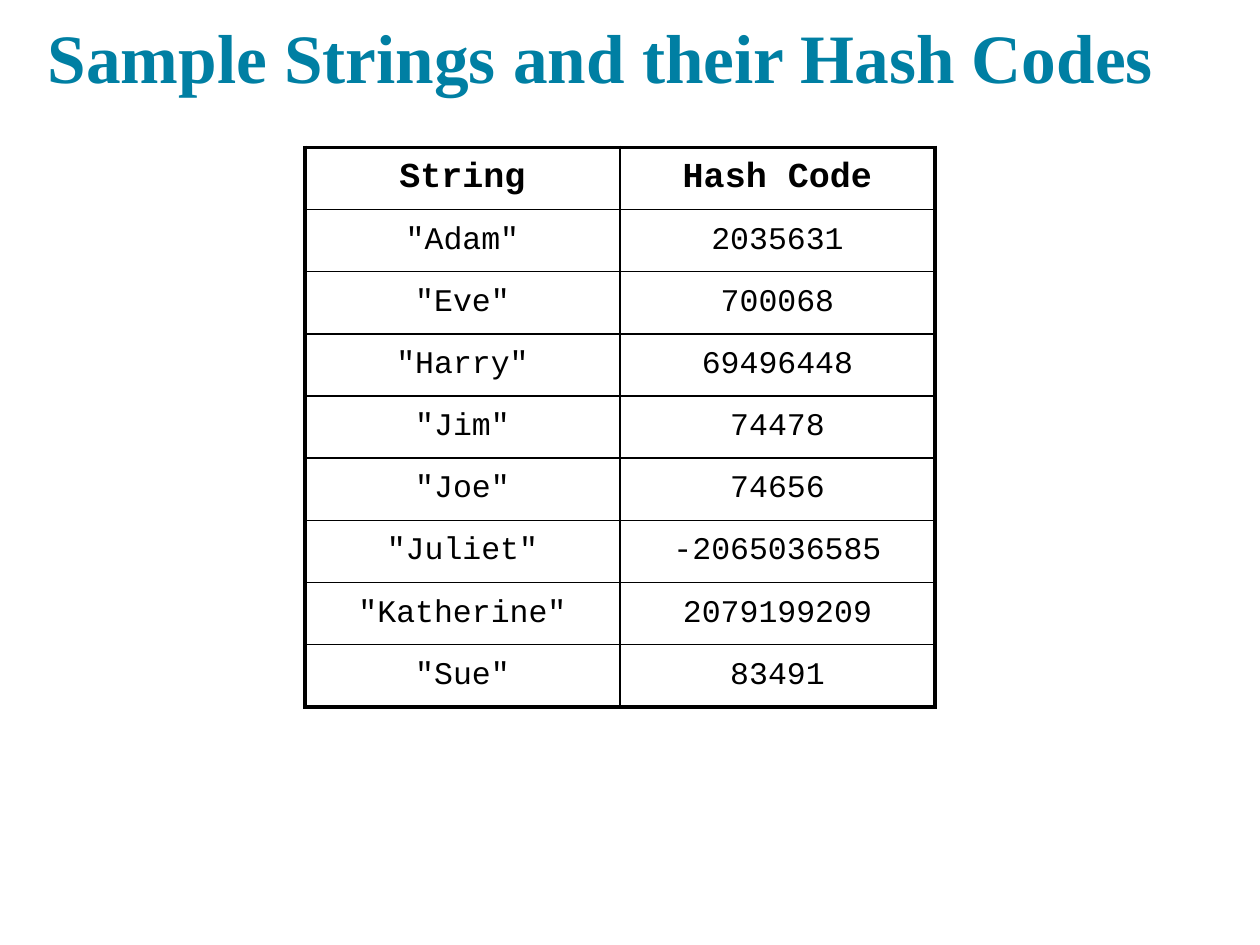
from lxml.etree import SubElement
from pptx import Presentation
from pptx.dml.color import RGBColor
from pptx.enum.text import MSO_ANCHOR as Anchor, PP_ALIGN as Align
from pptx.oxml.ns import qn
from pptx.util import Inches, Pt

BLACK = "000000"
TEAL = "007FA3"
THIN, THICK = 1, 2.25
HEADINGS = ("String", "Hash Code")
HASH_CODES = {
    '"Adam"': "2035631",
    '"Eve"': "700068",
    '"Harry"': "69496448",
    '"Jim"': "74478",
    '"Joe"': "74656",
    '"Juliet"': "-2065036585",
    '"Katherine"': "2079199209",
    '"Sue"': "83491",
}


def color(value):
    """Turn a hex string into a colour."""
    return RGBColor.from_string(value)


def write_text(frame, text, font, size, fill=BLACK, bold=False, align=Align.LEFT):
    """Write one formatted paragraph into a text frame."""
    paragraph = frame.paragraphs[0]
    paragraph.alignment = align
    run = paragraph.add_run()
    run.text = text
    run.font.name = font
    run.font.size = Pt(size)
    run.font.bold = bold
    run.font.color.rgb = color(fill)


def set_borders(cell, widths):
    """Draw black cell borders from a mapping of side letter to points."""
    properties = cell._tc.get_or_add_tcPr()
    for side in "LRTB":
        line = SubElement(properties, qn(f"a:ln{side}"), w=str(Pt(widths[side])))
        fill = SubElement(line, qn("a:solidFill"))
        SubElement(fill, qn("a:srgbClr"), val=BLACK)


def add_title(slide, left, top, width, height):
    """Add the slide title."""
    frame = slide.shapes.add_textbox(left, top, width, height).text_frame
    frame.word_wrap = True
    frame.vertical_anchor = Anchor.MIDDLE
    write_text(frame, "Sample Strings and their Hash Codes",
               "Times New Roman", 39.6, fill=TEAL, bold=True)


def add_hash_table(slide, left, top, width, height):
    """Add the table of strings and hash codes with a thick outer frame."""
    rows = [HEADINGS, *HASH_CODES.items()]
    last_row, last_column = len(rows) - 1, len(HEADINGS) - 1
    table = slide.shapes.add_table(
        len(rows), len(HEADINGS), left, top, width, height).table
    table.first_row = table.horz_banding = False
    for row, values in enumerate(rows):
        heading = row == 0
        for column, value in enumerate(values):
            cell = table.cell(row, column)
            set_borders(cell, {
                "L": THICK if column == 0 else THIN,
                "R": THICK if column == last_column else THIN,
                "T": THICK if heading else THIN,
                "B": THICK if row == last_row else THIN,
            })
            cell.fill.background()
            cell.vertical_anchor = Anchor.MIDDLE
            write_text(cell.text_frame, value, "Courier New",
                       20 if heading else 18, bold=heading, align=Align.CENTER)


def main():
    """Build and save the presentation."""
    presentation = Presentation()
    presentation.slide_width = Inches(10)
    presentation.slide_height = Inches(7.5)
    slide = presentation.slides.add_slide(presentation.slide_layouts[6])
    add_hash_table(slide, Inches(2.42), Inches(1.17), Inches(5), Inches(4.44))
    add_title(slide, Inches(0.28), Inches(0), Inches(9.31), Inches(0.89))
    presentation.save("out.pptx")


if __name__ == "__main__":
    main()
